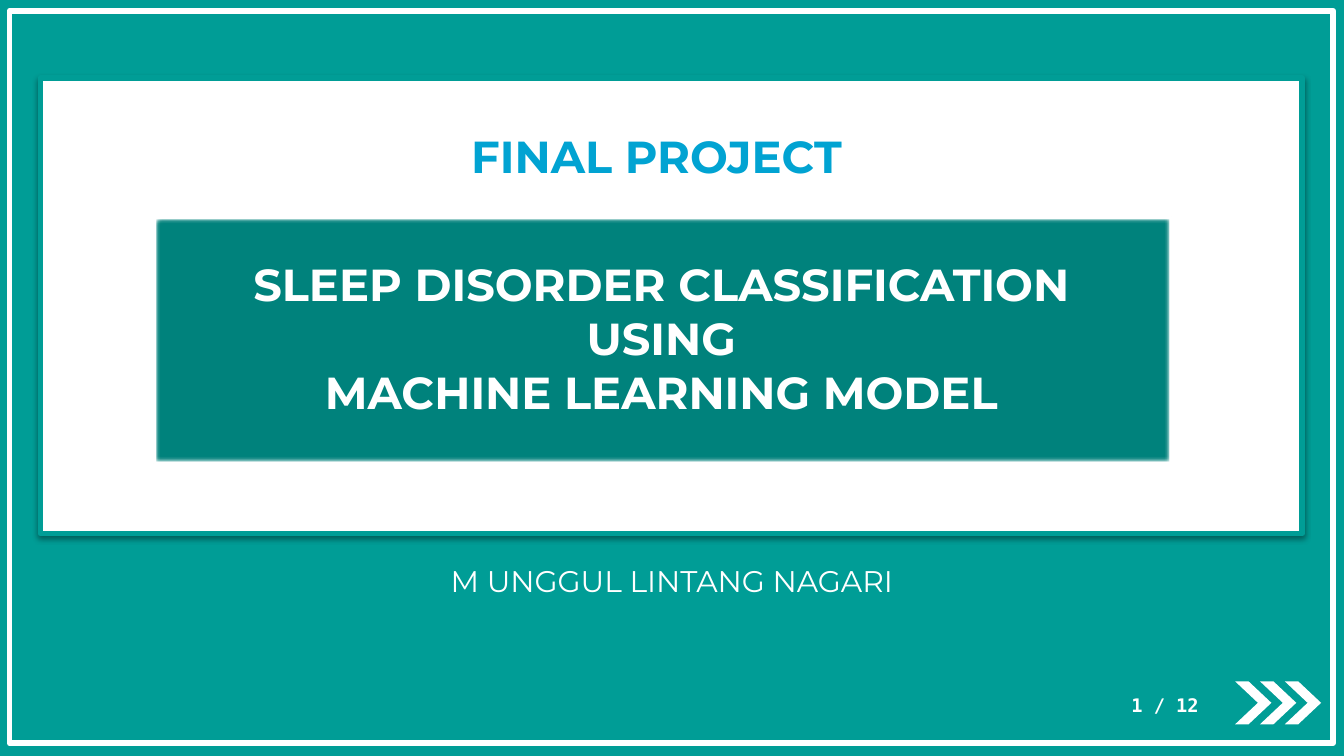
from dataclasses import dataclass

from lxml import etree
from pptx import Presentation
from pptx.dml.color import RGBColor
from pptx.enum import shapes, text
from pptx.oxml import ns
from pptx.util import Inches, Pt


@dataclass(frozen=True)
class Theme:
    """Colours, fonts and type sizes of the deck."""
    teal: str = "009D96"
    deep: str = "00827C"
    blue: str = "01A3D2"
    white: str = "FFFFFF"
    body: str = "Montserrat"
    mono: str = "DejaVu Sans Mono"
    title: int = 24
    author: int = 16
    page: int = 10


T = Theme()


def inches(*values):
    """Convert several lengths to EMU."""
    return [Inches(v) for v in values]


def add_effect(sp, tag, color=None, alpha=0, **attrs):
    """Add one effect to a shape whose effect list is empty."""
    effects = sp.element.spPr.find(ns.qn("a:effectLst"))
    effect = etree.SubElement(effects, ns.qn(tag), {k: str(v) for k, v in attrs.items()})
    if color:
        clr = etree.SubElement(effect, ns.qn("a:srgbClr"), val=color)
        etree.SubElement(clr, ns.qn("a:alpha"), val=str(alpha * 1000))


def add_panel(s, box, fill, line, width):
    """Add a rectangle with an optional fill and an outline."""
    sp = s.shapes.add_shape(shapes.MSO_SHAPE.RECTANGLE, *inches(*box))
    sp.shadow.inherit = False
    if fill:
        sp.fill.solid()
        sp.fill.fore_color.rgb = RGBColor.from_string(fill)
    else:
        sp.fill.background()
    sp.line.color.rgb = RGBColor.from_string(line)
    sp.line.width = Pt(width)
    return sp


def write(sp, lines, size, color, name=T.body, bold=True, align=text.PP_ALIGN.CENTER):
    """Write formatted paragraphs into a shape."""
    tf = sp.text_frame
    frame = dict(word_wrap=True, auto_size=text.MSO_AUTO_SIZE.NONE,
                 vertical_anchor=text.MSO_ANCHOR.TOP)
    for side in ("left", "top", "right", "bottom"):
        frame["margin_" + side] = Inches(0.1)
    for key, value in frame.items():
        setattr(tf, key, value)
    for i, line in enumerate(lines):
        p = tf.paragraphs[0] if i == 0 else tf.add_paragraph()
        p.alignment = align
        p.line_spacing = 1.0
        p.space_before = Pt(0)
        r = p.add_run()
        r.text = line
        for key, value in dict(name=name, size=Pt(size), bold=bold).items():
            setattr(r.font, key, value)
        r.font.color.rgb = RGBColor.from_string(color)


def add_label(s, box, line, *style, **options):
    """Add a one-line text box."""
    write(s.shapes.add_textbox(*inches(*box)), [line], *style, **options)


def add_title_card(s, x, y, w, h):
    """Place the white card with its heading and title band."""
    card = add_panel(s, (x, y, w, h), T.white, T.teal, 3)
    add_effect(card, "a:outerShdw", "000000", 38, blurRad=Pt(3.1), dist=Pt(1.6),
               dir=90 * 60000, algn="t", rotWithShape=0)
    band = add_panel(s, (x + 0.85, y + 1.04, 7.56, 1.82), T.deep, T.white, 2)
    add_effect(band, "a:softEdge", rad=Pt(2))
    title = s.shapes.title
    title.left, title.top, title.width, title.height = inches(x + 1.13, y + 1.23, 6.98, 1.28)
    write(title, ["SLEEP DISORDER CLASSIFICATION USING", "MACHINE LEARNING MODEL"],
          T.title, T.white)
    s.shapes.element.append(title.element)
    add_label(s, (x + 2.42, y + 0.28, 4.33, 0.45), "FINAL PROJECT", T.title, T.blue)


def add_chevrons(s, x, y, w, h, count=3, step=0.185):
    """Place a group of right-pointing chevrons, each made of two halves."""
    group = s.shapes.add_group_shape()
    tip = w - (count - 1) * step
    middle = y + h / 2
    for i in range(count):
        left = x + i * step
        for edge in (y, y + h):
            points = [(left, edge), (left + 0.1, edge), (left + tip, middle),
                      (left + tip - 0.1, middle)]
            points = [tuple(inches(*point)) for point in points]
            builder = group.shapes.build_freeform(*points[0])
            builder.add_line_segments(points[1:], close=True)
            sp = builder.convert_to_shape()
            sp.shadow.inherit = False
            sp.fill.solid()
            sp.fill.fore_color.rgb = RGBColor.from_string(T.white)
            sp.line.fill.background()


def add_footer(s, x, y, w, h):
    """Place the page number and the chevrons at the right."""
    add_label(s, (x, y, 0.87, h), "1 / 12", T.page, T.white, name=T.mono,
              align=text.PP_ALIGN.LEFT)
    add_chevrons(s, x + w - 0.64, y + 0.01, 0.64, 0.32)


def build_cover(prs):
    """Build the cover slide."""
    s = prs.slides.add_slide(prs.slide_layouts[5])
    s.background.fill.solid()
    s.background.fill.fore_color.rgb = RGBColor.from_string(T.teal)
    add_panel(s, (0.07, 0.08, 9.85, 5.45), None, T.white, 3)
    add_title_card(s, 0.3, 0.58, 9.39, 3.39)
    add_label(s, (1.86, 4.09, 6.28, 1.15), "M UNGGUL LINTANG NAGARI", T.author, T.white,
              bold=False)
    add_footer(s, 8.32, 5.06, 1.51, 0.39)


def main():
    """Create and save the presentation."""
    prs = Presentation()
    prs.slide_width = Inches(10)
    prs.slide_height = prs.slide_width * 9 // 16
    build_cover(prs)
    prs.save("out.pptx")


if __name__ == "__main__":
    main()
